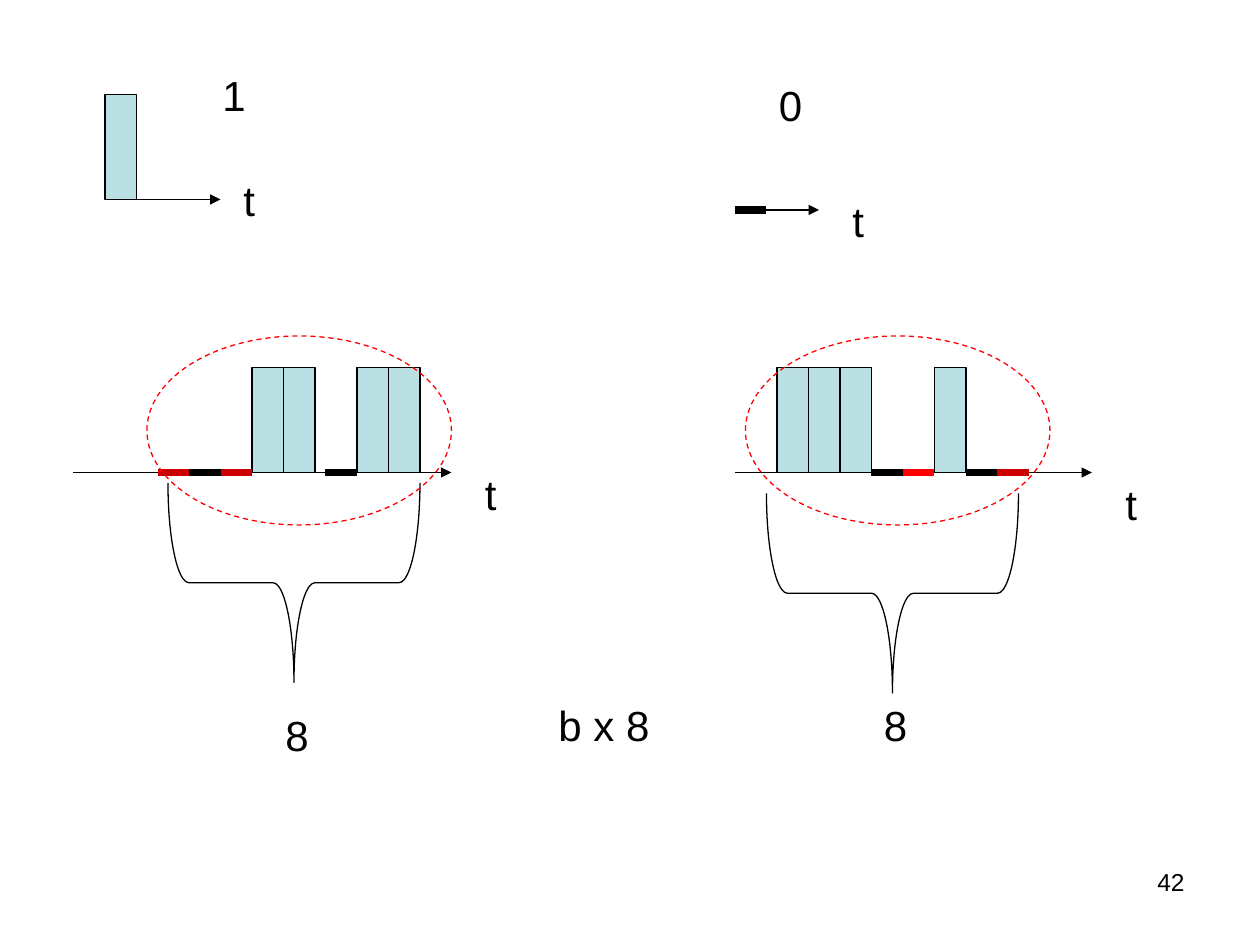
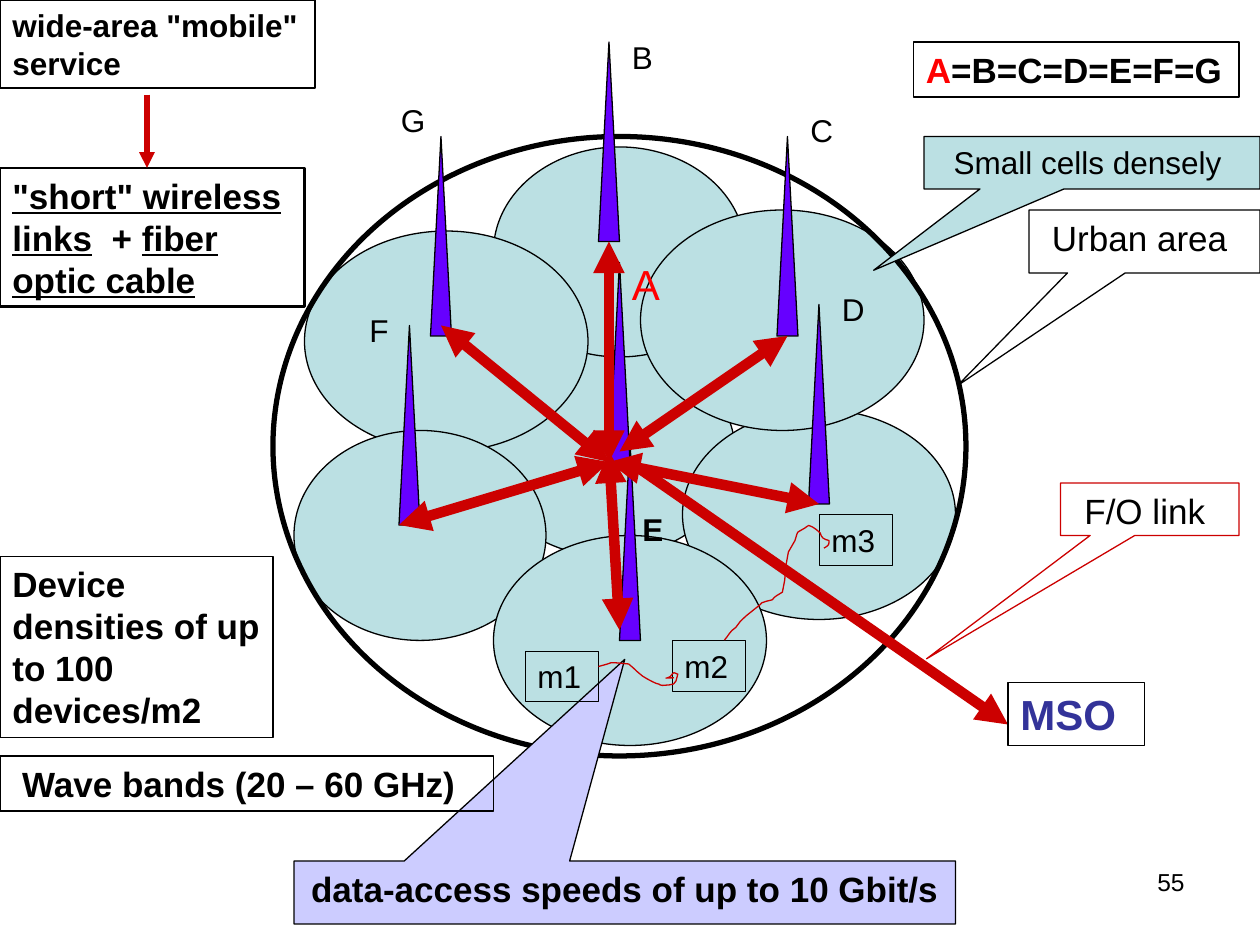
from pptx import Presentation
from pptx.dml.color import RGBColor
from pptx.enum.dml import MSO_LINE
from pptx.enum.shapes import MSO_CONNECTOR, MSO_SHAPE
from pptx.enum.text import MSO_ANCHOR, PP_ALIGN
from pptx.oxml.ns import qn
from pptx.util import Inches, Pt
from lxml import etree

RECT, OVAL, MAST = MSO_SHAPE.RECTANGLE, MSO_SHAPE.OVAL, MSO_SHAPE.FLOWCHART_EXTRACT
BRACE, CALLOUT = MSO_SHAPE.LEFT_BRACE, MSO_SHAPE.RECTANGULAR_CALLOUT
STRAIGHT, DASH, TOP = MSO_CONNECTOR.STRAIGHT, MSO_LINE.DASH, MSO_ANCHOR.TOP
LEFT, CENTER, RIGHT = PP_ALIGN.LEFT, PP_ALIGN.CENTER, PP_ALIGN.RIGHT
BLACK, RED, CRIMSON = "000000", "FF0000", "CC0000"
TEAL, VIOLET, LILAC, NAVY = "BBE0E3", "6600FF", "CCCCFF", "333399"
THIN, THICK = 0.74, 4.5
rgb = RGBColor.from_string

prs = Presentation()
prs.slide_width, prs.slide_height = Inches(10), Inches(7.5)
CELL = prs.slide_width / 120


def put(s, kind, x, y, w, h, runs=(), size=18, bold=False, align=LEFT,
        fill=None, line=BLACK, width=THIN):
    at = [round(v * CELL) for v in (x, y, w, h)]
    if kind is None:
        sp = s.shapes.add_textbox(*at)
    else:
        sp = s.shapes.add_shape(kind, *at)
        sp.shadow.inherit = False
        sp.line.color.rgb = rgb(line)
        sp.line.width = Pt(width)
        if fill:
            sp.fill.solid()
            sp.fill.fore_color.rgb = rgb(fill)
        else:
            sp.fill.background()
    tf = sp.text_frame
    tf.word_wrap, tf.vertical_anchor = True, TOP
    p = tf.paragraphs[0]
    p.alignment = align
    for text, color, underline in [(runs, BLACK, False)] if isinstance(runs, str) else runs:
        r = p.add_run()
        r.text = text
        fmt = {"name": "Arial", "size": Pt(size), "bold": bold, "underline": underline}
        for key, value in fmt.items():
            setattr(r.font, key, value)
        r.font.color.rgb = rgb(color)
    return sp


def link(s, x1, y1, x2, y2, color=BLACK, width=THIN, ends=()):
    cx = s.shapes.add_connector(STRAIGHT, *[round(v * CELL) for v in (x1, y1, x2, y2)])
    cx.line.color.rgb = rgb(color)
    cx.line.width = Pt(width)
    ln = cx.line._get_or_add_ln()
    for end in ends:
        etree.SubElement(ln, qn(f"a:{end}")).set("type", "triangle")
    etree.SubElement(cx._element.spPr, qn("a:effectLst"))


pulses, network = [prs.slides.add_slide(prs.slide_layouts[6]) for _ in range(2)]

s = pulses
for x1, y, x2 in [(13, 19, 21), (7, 45, 43), (70, 45, 104), (70, 20, 78)]:
    link(s, x1, y, x2, y, ends=["tailEnd"])
for y, columns in [(9, [10]), (35, [24, 27, 34, 37, 74, 77, 80, 89])]:
    for x in columns:
        put(s, RECT, x, y, 3, 10, fill=TEAL)
for y, color, columns in [(20, BLACK, [70]), (45, BLACK, [18, 31, 83, 92]),
                          (45, CRIMSON, [15, 21, 95]), (45, RED, [86])]:
    for x in columns:
        link(s, x, y, x + 3, y, color, THICK)
for x, y in [(18.5, 43.5), (75.5, 44.5)]:
    sp = put(s, BRACE, x, y, 19, 24)
    sp.rotation = 270
    sp.adjustments[0] = 2 / 19
for x, y, w, text in [(22, 16, 4, "t"), (106, 45, 4, "t"), (80, 18, 4, "t"), (45, 44, 4, "t"),
                      (26, 67, 4, "8"), (83, 66, 4, "8"), (52, 66, 14, "b x 8"),
                      (20, 6, 7, "1"), (73, 7, 7, "0")]:
    put(s, None, x, y, w, 6, text, 24)
for x in (14, 71):
    put(s, OVAL, x, 32, 29, 18, line=RED).line.dash_style = DASH

s = network
for x, y, w, h in [(46, 33, 24, 20), (47, 14, 24, 20), (65, 39, 26, 20), (29, 22, 27, 21),
                   (28, 41, 24, 20), (47, 51, 26, 20), (61, 20, 27, 21)]:
    put(s, OVAL, x, y, w, h, fill=TEAL)
put(s, OVAL, 26, 13, 66, 59, width=3)
for x, y in [(38, 31), (57, 4), (41, 13), (59, 42), (77, 29), (74, 13), (58, 25)]:
    put(s, MAST, x, y, 2, 19, fill=VIOLET)
for ends in [(58, 43, 59, 60), (59, 43, 75, 32), (58, 23, 58, 44),
             (38, 50, 58, 44), (42, 31, 58, 44), (58, 44, 78, 48)]:
    link(s, *ends, CRIMSON, 6, ["headEnd", "tailEnd"])
link(s, 60, 44, 96, 69, CRIMSON, 6, ["tailEnd"])
put(s, RECT, 96, 65, 13, 6, [("MSO", NAVY, False)], 24, True, width=1)

for x, y, w, h, text, size, fill, line, tip in [
        (98, 20, 22, 6, "Urban area ", 20, None, BLACK, (-0.81, 2.29)),
        (88, 13, 32, 5, "Small cells\u00a0densely ", 18, TEAL, BLACK, (-0.65, 2.05)),
        (101, 46, 17, 5, "F/O link ", 20, None, CRIMSON, (-1.25, 2.85)),
        (28, 82, 63, 6, "data-access speeds of up to 10 Gbit/s ", 20, LILAC, BLACK, (0, -3.7))]:
    sp = put(s, CALLOUT, x, y, w, h, text, size, fill == LILAC, CENTER, fill, line)
    sp.adjustments[0], sp.adjustments[1] = tip

for x, y, text in [(37, 9, "G"), (34, 29, "F"), (60, 48, "E"), (79, 27, "D"),
                   (76, 10, "C"), (59, 3, "B")]:
    put(s, None, x, y, 5, 4.8, text, bold=text == "E")
put(s, None, 59, 24, 5, 6, [("A", RED, False)], 24)
for x, y, text in [(50, 62, "m1"), (64, 61, "m2"), (78, 49, "m3")]:
    put(s, RECT, x, y, 7, 4.8, text, width=0.25)

m1_to_m2 = [(4.75, 5.29), (4.89, 5.26), (4.79, 5.25), (4.99, 5.27), (5.03, 5.3), (5.09, 5.37),
            (5.14, 5.39), (5.14, 5.39), (5.21, 5.43), (5.23, 5.43), (5.24, 5.44), (5.26, 5.44),
            (5.26, 5.44), (5.35, 5.43), (5.36, 5.45), (5.38, 5.35), (5.37, 5.35), (5.36, 5.34),
            (5.35, 5.34), (5.34, 5.34), (5.33, 5.36), (5.32, 5.37), (5.29, 5.39), (5.25, 5.38),
            (5.35, 5.38)]
m2_to_m3 = [(5.75, 5.08), (5.78, 5.05), (5.79, 5.01), (5.84, 4.98), (5.88, 4.91), (5.96, 4.86),
            (6.02, 4.81), (6.04, 4.8), (6.04, 4.78), (6.06, 4.78), (6.08, 4.77), (6.1, 4.77),
            (6.13, 4.76), (6.15, 4.73), (6.18, 4.72), (6.21, 4.7), (6.25, 4.59), (6.21, 4.39),
            (6.31, 4.29), (6.34, 4.2), (6.31, 4.24), (6.39, 4.19), (6.4, 4.18), (6.42, 4.17),
            (6.42, 4.17), (6.46, 4.18), (6.51, 4.23), (6.51, 4.23), (6.52, 4.27), (6.54, 4.28),
            (6.58, 4.29), (6.58, 4.31), (6.58, 4.32), (6.57, 4.33), (6.56, 4.34), (6.54, 4.35),
            (6.54, 4.35)]
for curve in (m1_to_m2, m2_to_m3):
    points = []
    for i in range(0, len(curve) - 1, 3):
        for t in (0.25, 0.5, 0.75, 1):
            weights = ((1 - t) ** 3, 3 * t * (1 - t) ** 2, 3 * t * t * (1 - t), t ** 3)
            points.append([Inches(sum(k * pt[axis] for k, pt in zip(weights, curve[i:i + 4])))
                           for axis in (0, 1)])
    fb = s.shapes.build_freeform(*[Inches(v) for v in curve[0]])
    fb.add_line_segments(points, close=False)
    sp = fb.convert_to_shape()
    sp.shadow.inherit = False
    sp.fill.background()
    sp.line.color.rgb = rgb(CRIMSON)
    sp.line.width = Pt(THIN)

formula = [("A", RED, False), ("=B=C=D=E=F=G", BLACK, False)]
short_links = [("\"short\" wireless links", BLACK, True), ("  +\u00a0", BLACK, False),
               ("fiber optic cable", BLACK, True)]
for x, y, w, h, runs, size, width in [
        (87, 4, 31, 5.25, formula, 20, 1),
        (0, 0, 30, 8.4, "wide-area \"mobile\" service ", 18, 1.5),
        (0, 16, 29, 13.2, short_links, 20, 1.5),
        (0, 72, 47, 5.25, "\u00a0Wave\u00a0bands (20 \u2013 60\u00a0GHz) ", 20, 1),
        (0, 53, 26, 17.25, "Device densities of up to 100 devices/m2 ", 20, 1)]:
    put(s, RECT, x, y, w, h, runs, size, True, width=width)
link(s, 14, 9, 14, 16, CRIMSON, 3, ["tailEnd"])

for s, number in [(pulses, "42"), (network, "55")]:
    put(s, None, 86, 82, 28, 6.25, number, 14, align=RIGHT)

prs.save("out.pptx")
